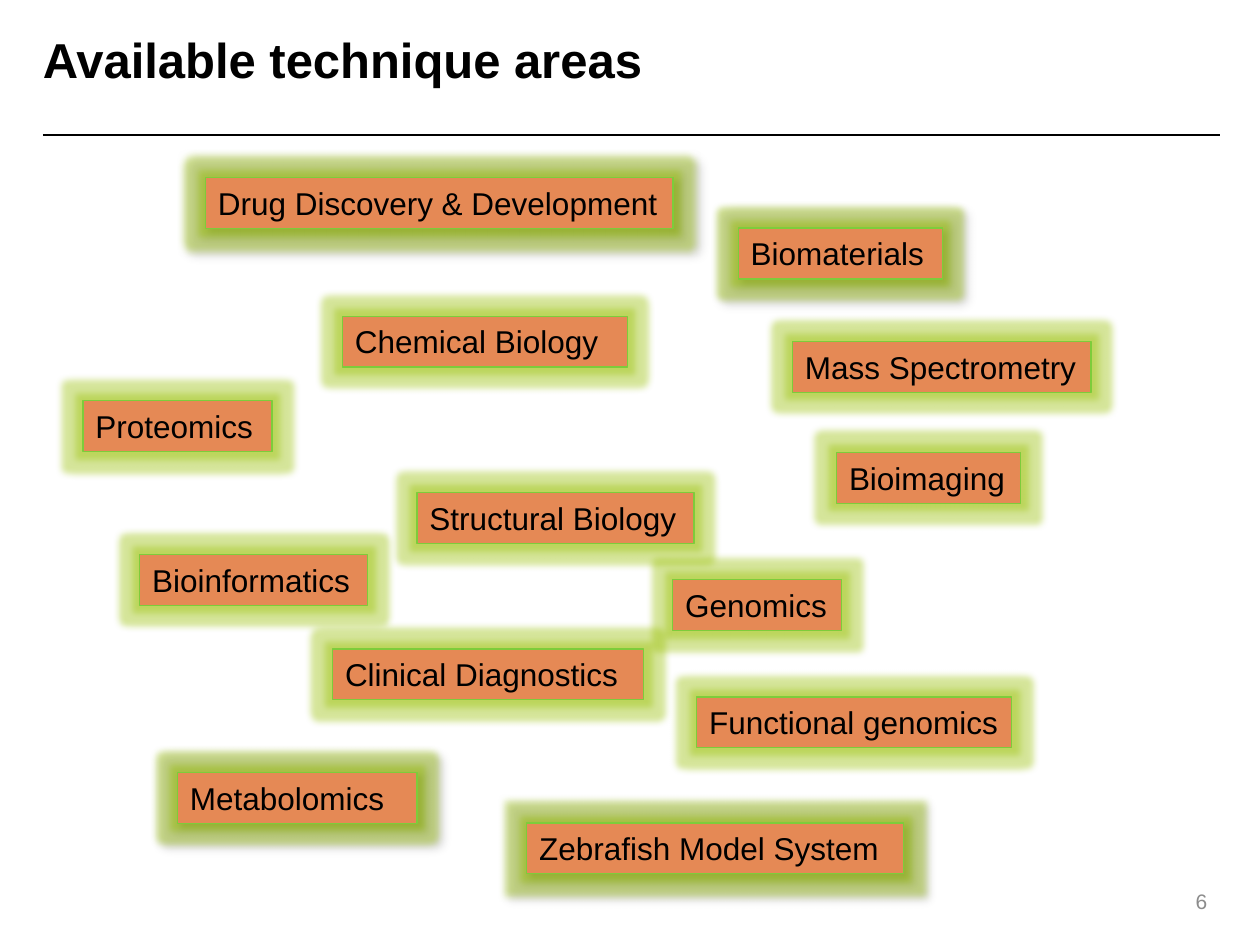
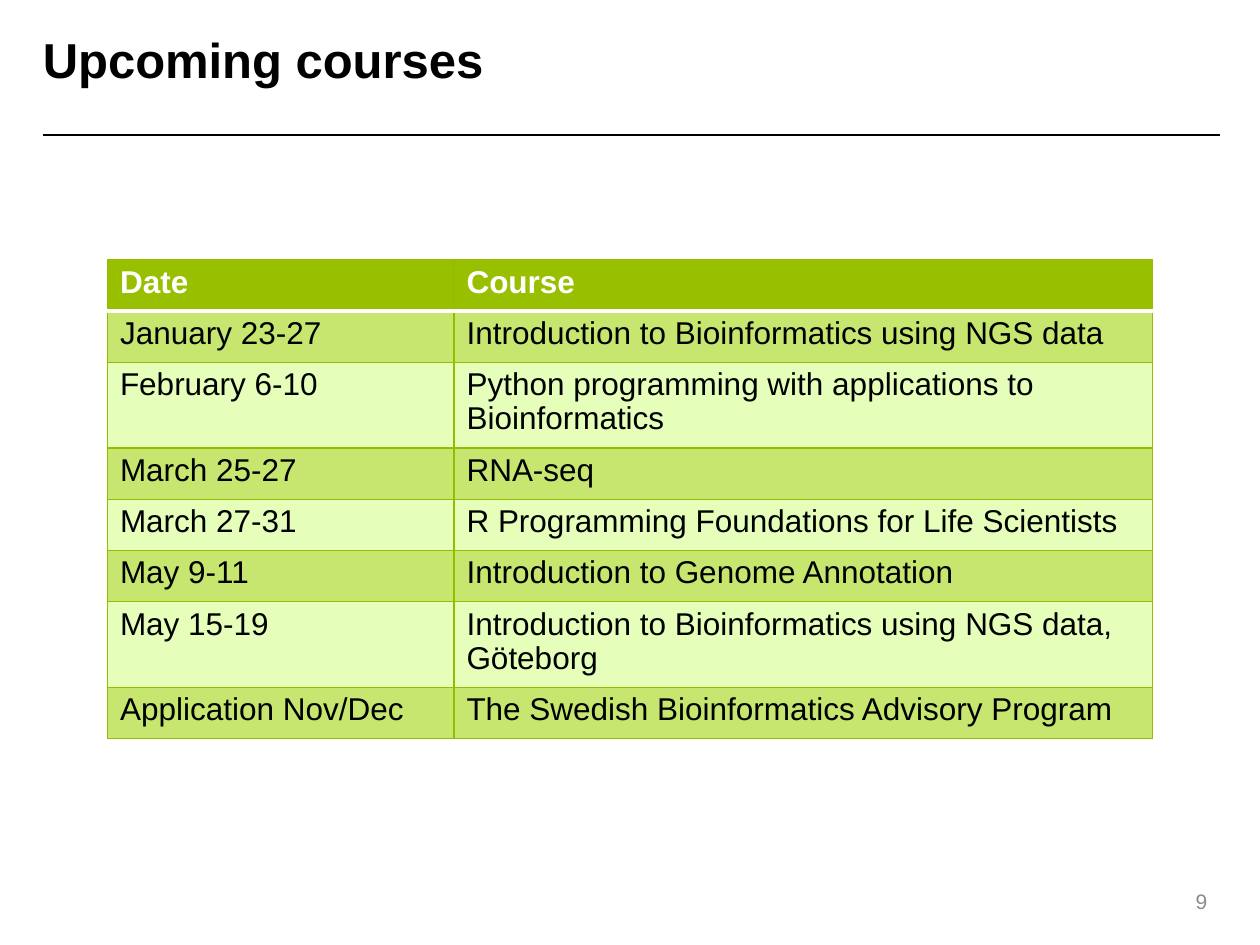
from lxml import etree
from pptx import Presentation
from pptx.dml.color import RGBColor
from pptx.enum.shapes import MSO_CONNECTOR, MSO_SHAPE
from pptx.enum.text import MSO_ANCHOR, MSO_AUTO_SIZE, PP_ALIGN
from pptx.oxml.ns import qn
from pptx.util import Pt

LINE = MSO_CONNECTOR.STRAIGHT
RECT = MSO_SHAPE.RECTANGLE
TOP = MSO_ANCHOR.TOP
MIDDLE = MSO_ANCHOR.MIDDLE
LEFT = PP_ALIGN.LEFT
RIGHT = PP_ALIGN.RIGHT
GROW = MSO_AUTO_SIZE.SHAPE_TO_FIT_TEXT

FONT = "Arial"
HEX = {
    "ink": "000000", "paper": "FFFFFF", "grey": "8C8C8C",
    "box": "E58955", "edge": "7DCC3B", "head": "98C000",
    "grid": "95BC00", "dark": "C6E670", "light": "E5FFBA",
}

AREAS = [
    ("Drug Discovery & Development", 117.4, 101.5, 267.1, True),
    ("Chemical Biology", 195.8, 180.7, 162.7, False),
    ("Biomaterials", 421.9, 130.3, 116.6, True),
    ("Genomics", 384.5, 331.2, 96.5, False),
    ("Bioimaging", 478.1, 258.5, 105.1, False),
    ("Bioinformatics", 79.9, 316.8, 130.3, False),
    ("Functional genomics", 398.2, 398.2, 180, False),
    ("Clinical Diagnostics", 190.1, 370.8, 177.8, False),
    ("Mass Spectrometry", 452.9, 195.1, 170.6, False),
    ("Proteomics", 47.5, 229, 108, False),
    ("Structural Biology", 238.3, 281.5, 158.4, False),
    ("Zebrafish Model System", 301, 470.2, 215.3, True),
    ("Metabolomics", 101.5, 441.4, 136.8, True),
]
BOX_H = 29.1

COURSES = [
    ("Date", "Course"),
    ("January 23-27", "Introduction to Bioinformatics using NGS data"),
    ("February 6-10", "Python programming with applications to Bioinformatics"),
    ("March 25-27", "RNA-seq"),
    ("March 27-31", "R Programming Foundations for Life Scientists"),
    ("May 9-11", "Introduction to Genome Annotation"),
    ("May 15-19", "Introduction to Bioinformatics using NGS data, Göteborg"),
    ("Application Nov/Dec", "The Swedish Bioinformatics Advisory Program"),
]
COLS = (198, 399)
ROW_H, TALL_H = 29.2, 47.4
FIT = 46


def color(name):
    return RGBColor.from_string(HEX[name])


def style(frame, size, name, bold=False, align=LEFT):
    for para in frame.paragraphs:
        para.alignment = align
        for run in para.runs:
            font = run.font
            font.name, font.size, font.bold = FONT, Pt(size), bold
            font.color.rgb = color(name)


def tint(parent, name, alpha=None):
    node = etree.SubElement(parent, qn("a:srgbClr"), val=HEX[name])
    if alpha:
        etree.SubElement(node, qn("a:alpha"), val=str(alpha * 1000))


def add_page(deck, title, number):
    slide = deck.slides.add_slide(deck.slide_layouts[5])
    head = slide.shapes.title
    head.left, head.top, head.width, head.height = Pt(24.5), Pt(16.6), Pt(491.8), Pt(45.4)
    frame = head.text_frame
    frame.margin_left = frame.margin_top = frame.margin_right = frame.margin_bottom = 0
    frame.vertical_anchor = TOP
    frame.text = title
    style(frame, 28, "ink", True)

    rule = slide.shapes.add_connector(LINE, Pt(24.5), Pt(77), Pt(697), Pt(77))
    rule.line.color.rgb = color("ink")
    rule.line.width = Pt(1)
    etree.SubElement(rule._element.spPr, qn("a:effectLst"))

    foot = slide.shapes.add_textbox(Pt(516.2), Pt(500.4), Pt(180.7), Pt(28.8)).text_frame
    foot.word_wrap = True
    foot.vertical_anchor = MIDDLE
    foot.text = str(number)
    style(foot, 12, "grey", align=RIGHT)
    return slide


def add_area(slide, text, left, top, width, shade):
    box = slide.shapes.add_shape(RECT, Pt(left), Pt(top), Pt(width), Pt(BOX_H))
    box.shadow.inherit = False
    box.fill.solid()
    box.fill.fore_color.rgb = color("box")
    box.line.color.rgb = color("edge")
    box.line.width = Pt(0.75)
    effects = box._element.spPr.find(qn("a:effectLst"))
    glow = etree.SubElement(effects, qn("a:glow"), rad=str(Pt(8)))
    tint(glow, "head", 40)
    if shade:
        drop = etree.SubElement(
            effects, qn("a:outerShdw"), blurRad=str(Pt(4)), dist=str(Pt(3)),
            dir="2700000", algn="tl", rotWithShape="0")
        tint(drop, "ink", 40)
    frame = box.text_frame
    frame.word_wrap = False
    frame.auto_size = GROW
    frame.vertical_anchor = TOP
    frame.text = text
    style(frame, 18, "ink")


def add_edges(cell, row):
    props = cell._tc.get_or_add_tcPr()
    for spot, side in enumerate(("lnL", "lnR", "lnT", "lnB")):
        thick = (row, side) in ((0, "lnB"), (1, "lnT"))
        name, width = ("paper", 2) if thick else ("grid", 0.75)
        edge = etree.Element(qn("a:" + side), w=str(Pt(width)))
        tint(etree.SubElement(edge, qn("a:solidFill")), name)
        props.insert(spot, edge)


def add_grid(slide):
    highs = [TALL_H if len(name) > FIT else ROW_H for _, name in COURSES]
    table = slide.shapes.add_table(
        len(COURSES), len(COLS), Pt(61.4), Pt(148.5), Pt(sum(COLS)), Pt(sum(highs))).table
    for col, width in zip(table.columns, COLS):
        col.width = Pt(width)
    for row, (texts, high) in enumerate(zip(COURSES, highs)):
        table.rows[row].height = Pt(high)
        fill = "head" if row == 0 else ("light", "dark")[row % 2]
        for col, text in enumerate(texts):
            cell = table.cell(row, col)
            cell.fill.solid()
            cell.fill.fore_color.rgb = color(fill)
            cell.text = text
            cell.text_frame.paragraphs[0].line_spacing = 0.97
            style(cell.text_frame, 18, "ink" if row else "paper", row == 0)
            add_edges(cell, row)


def main():
    deck = Presentation()
    deck.slide_width, deck.slide_height = Pt(720), Pt(540)
    areas = add_page(deck, "Available technique areas", 6)
    for area in AREAS:
        add_area(areas, *area)
    add_grid(add_page(deck, "Upcoming courses", 9))
    deck.save("out.pptx")


if __name__ == "__main__":
    main()
